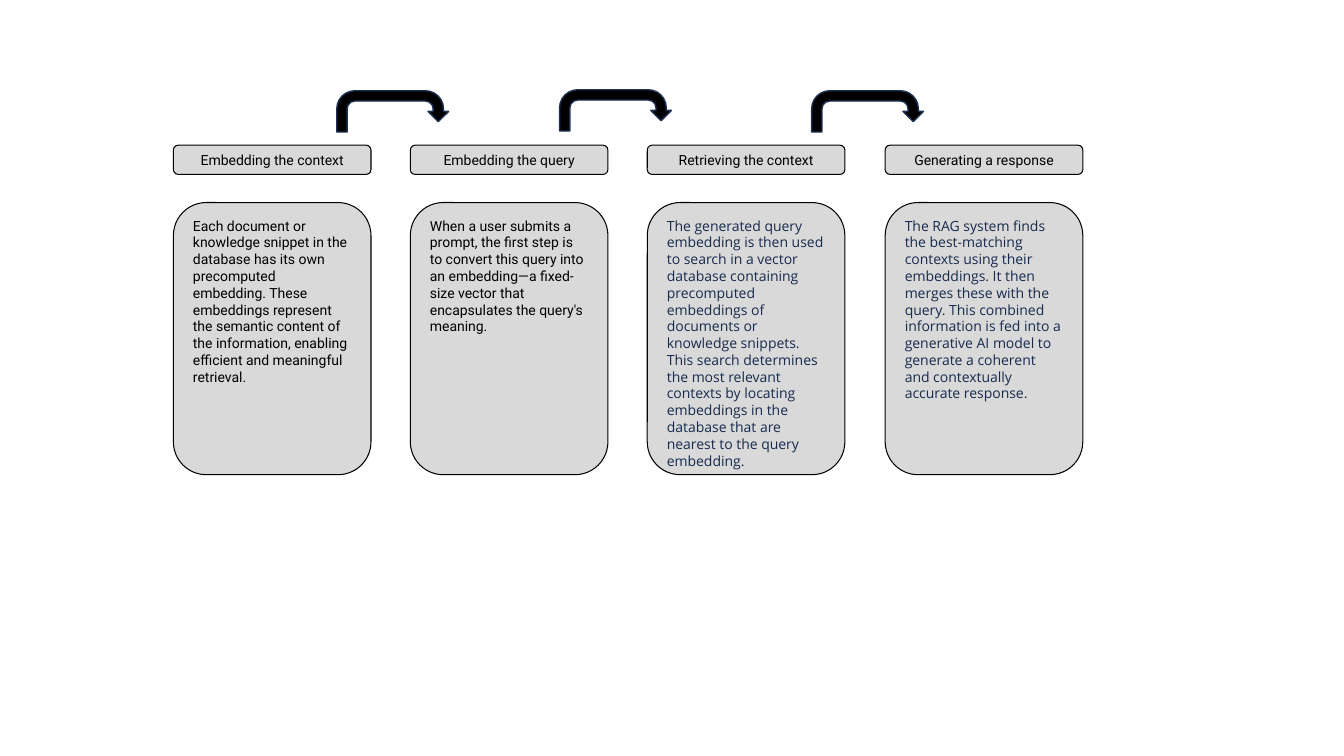
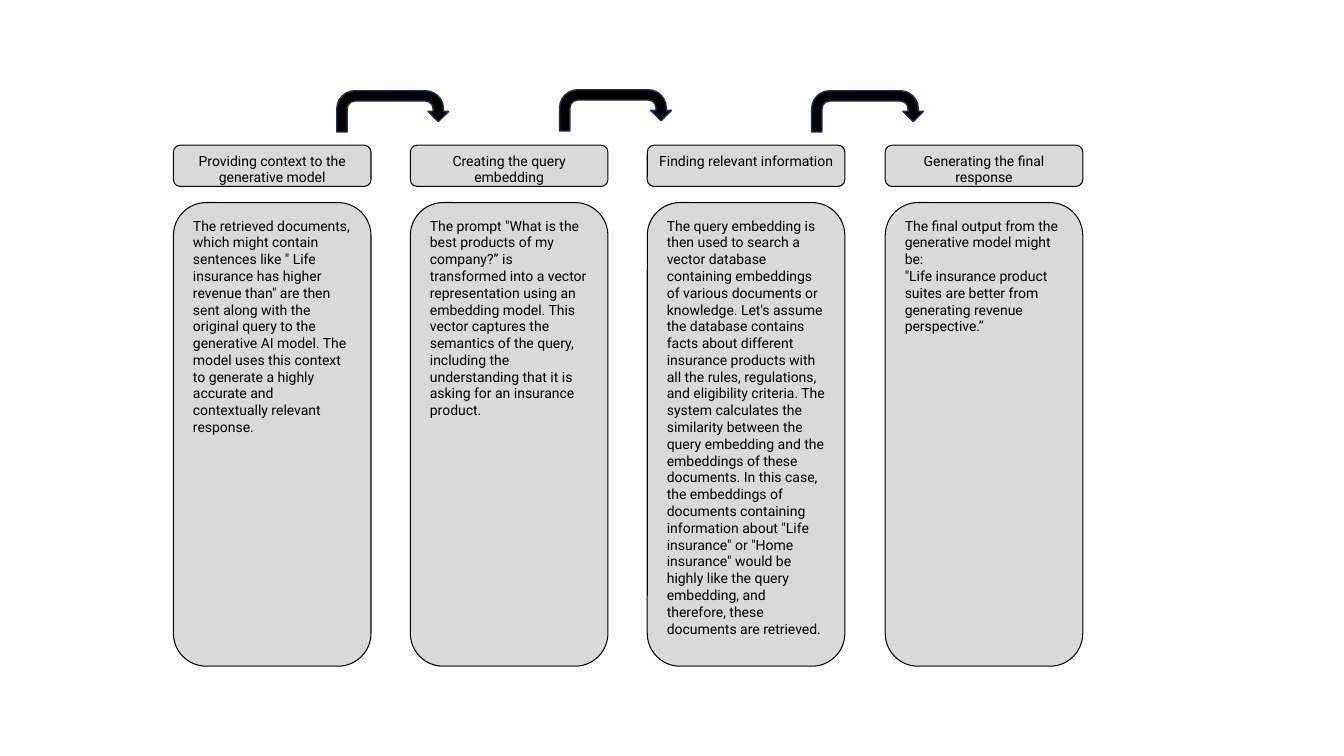
from dataclasses import dataclass

from pptx import Presentation
from pptx.dml.color import RGBColor
from pptx.enum.shapes import MSO_SHAPE
from pptx.enum.text import MSO_ANCHOR, PP_ALIGN
from pptx.shapes.autoshape import Shape
from pptx.slide import Slide
from pptx.util import Emu, Pt

EMU_PER_PX = 9144  # 100 px to the inch


@dataclass(frozen=True)
class Theme:
    card_fill: str = "D9D9D9"
    ink: str = "000000"
    navy_ink: str = "172B4D"
    arrow_line: str = "1E3256"
    font: str = "Roboto"
    alternate_font: str = "Open Sans"
    text_size: float = 10
    line_spacing: float = 12
    card_line: float = 0.75
    arrow_line_width: float = 1


@dataclass(frozen=True)
class Rect:
    left: int
    top: int
    width: int
    height: int


@dataclass(frozen=True)
class Step:
    title: str
    paragraphs: tuple[str, ...]
    alternate_style: bool = False


@dataclass(frozen=True)
class Process:
    header_height: int
    body_height: int
    steps: tuple[Step, ...]


THEME = Theme()
DECK_WIDTH, DECK_HEIGHT = 1333, 750
FIRST_LEFT, LAST_LEFT, CARD_WIDTH = 172, 878, 196
HEADER_TOP, BODY_TOP = 144, 201
ARROWS = (Rect(334, 90, 111, 41), Rect(555, 89, 111, 41), Rect(805, 90, 111, 41))

PROCESSES = (
    Process(29, 270, (
        Step("Embedding the context", (
            "Each document or knowledge snippet in the database has its own precomputed "
            "embedding. These embeddings represent the semantic content of the information, "
            "enabling efficient and meaningful retrieval.",
        )),
        Step("Embedding the query", (
            "When a user submits a prompt, the first step is to convert this query into an "
            "embedding—a fixed-size vector that encapsulates the query's meaning.",
        )),
        Step("Retrieving the context", (
            "The generated query embedding is then used to search in a vector database "
            "containing precomputed embeddings of documents or knowledge snippets. This "
            "search determines the most relevant contexts by locating embeddings in the "
            "database that are nearest to the query embedding.",
        ), alternate_style=True),
        Step("Generating a response", (
            "The RAG system finds the best-matching contexts using their embeddings. It then "
            "merges these with the query. This combined information is fed into a generative "
            "AI model to generate a coherent and contextually accurate response.",
        ), alternate_style=True),
    )),
    Process(41, 460, (
        Step("Providing context to the generative model", (
            'The retrieved documents, which might contain sentences like " Life insurance has '
            'higher revenue than" are then sent along with the original query to the '
            "generative AI model. The model uses this context to generate a highly accurate "
            "and contextually relevant response.",
        )),
        Step("Creating the query embedding", (
            'The prompt "What is the best products of my company?” is transformed into a '
            "vector representation using an embedding model. This vector captures the "
            "semantics of the query, including the understanding that it is asking for an "
            "insurance product.",
        )),
        Step("Finding relevant information", (
            "The query embedding is then used to search a vector database containing "
            "embeddings of various documents or knowledge. Let's assume the database contains "
            "facts about different insurance products with all the rules, regulations, and "
            "eligibility criteria. The system calculates the similarity between the query "
            "embedding and the embeddings of these documents. In this case, the embeddings of "
            'documents containing information about "Life insurance" or "Home insurance" '
            "would be highly like the query embedding, and therefore, these documents are "
            "retrieved.",
        )),
        Step("Generating the final response", (
            "The final output from the generative model might be:",
            '"Life insurance product suites are better from generating revenue perspective.”',
        )),
    )),
)


def px(length: int) -> Emu:
    return Emu(length * EMU_PER_PX)


def add_box(page: Slide, kind: MSO_SHAPE, rect: Rect, *, fill: str, line: str,
            line_width: float) -> Shape:
    box = page.shapes.add_shape(
        kind, px(rect.left), px(rect.top), px(rect.width), px(rect.height))
    box.shadow.inherit = False
    box.fill.solid()
    box.fill.fore_color.rgb = RGBColor.from_string(fill)
    box.line.color.rgb = RGBColor.from_string(line)
    box.line.width = Pt(line_width)
    return box


def write_text(box: Shape, paragraphs: tuple[str, ...], *, align: PP_ALIGN = PP_ALIGN.LEFT,
               font: str = THEME.font, color: str = THEME.ink) -> None:
    frame = box.text_frame
    frame.word_wrap = True
    frame.vertical_anchor = MSO_ANCHOR.TOP
    for index, text in enumerate(paragraphs):
        para = frame.add_paragraph() if index else frame.paragraphs[0]
        para.alignment = align
        para.line_spacing = Pt(THEME.line_spacing)
        span = para.add_run()
        span.text = text
        span.font.name = font
        span.font.size = Pt(THEME.text_size)
        span.font.color.rgb = RGBColor.from_string(color)


def add_card(page: Slide, rect: Rect) -> Shape:
    return add_box(page, MSO_SHAPE.ROUNDED_RECTANGLE, rect, fill=THEME.card_fill,
                   line=THEME.ink, line_width=THEME.card_line)


def add_step(page: Slide, step: Step, left: int, process: Process) -> None:
    header = add_card(page, Rect(left, HEADER_TOP, CARD_WIDTH, process.header_height))
    write_text(header, (step.title,), align=PP_ALIGN.CENTER)
    body = add_card(page, Rect(left, BODY_TOP, CARD_WIDTH, process.body_height))
    if step.alternate_style:
        write_text(body, step.paragraphs, font=THEME.alternate_font, color=THEME.navy_ink)
    else:
        write_text(body, step.paragraphs)


def add_process(page: Slide, process: Process) -> None:
    """Spread the steps evenly in columns, with the turning arrows above."""
    gaps = len(process.steps) - 1
    for index, step in enumerate(process.steps):
        left = FIRST_LEFT + (LAST_LEFT - FIRST_LEFT) * index // gaps
        add_step(page, step, left, process)
    for rect in ARROWS:
        add_box(page, MSO_SHAPE.U_TURN_ARROW, rect, fill=THEME.ink,
                line=THEME.arrow_line, line_width=THEME.arrow_line_width)


def main() -> None:
    deck = Presentation()
    deck.slide_width, deck.slide_height = px(DECK_WIDTH), px(DECK_HEIGHT)
    blank = deck.slide_layouts[6]
    for process in PROCESSES:
        add_process(deck.slides.add_slide(blank), process)
    deck.save("out.pptx")


if __name__ == "__main__":
    main()
